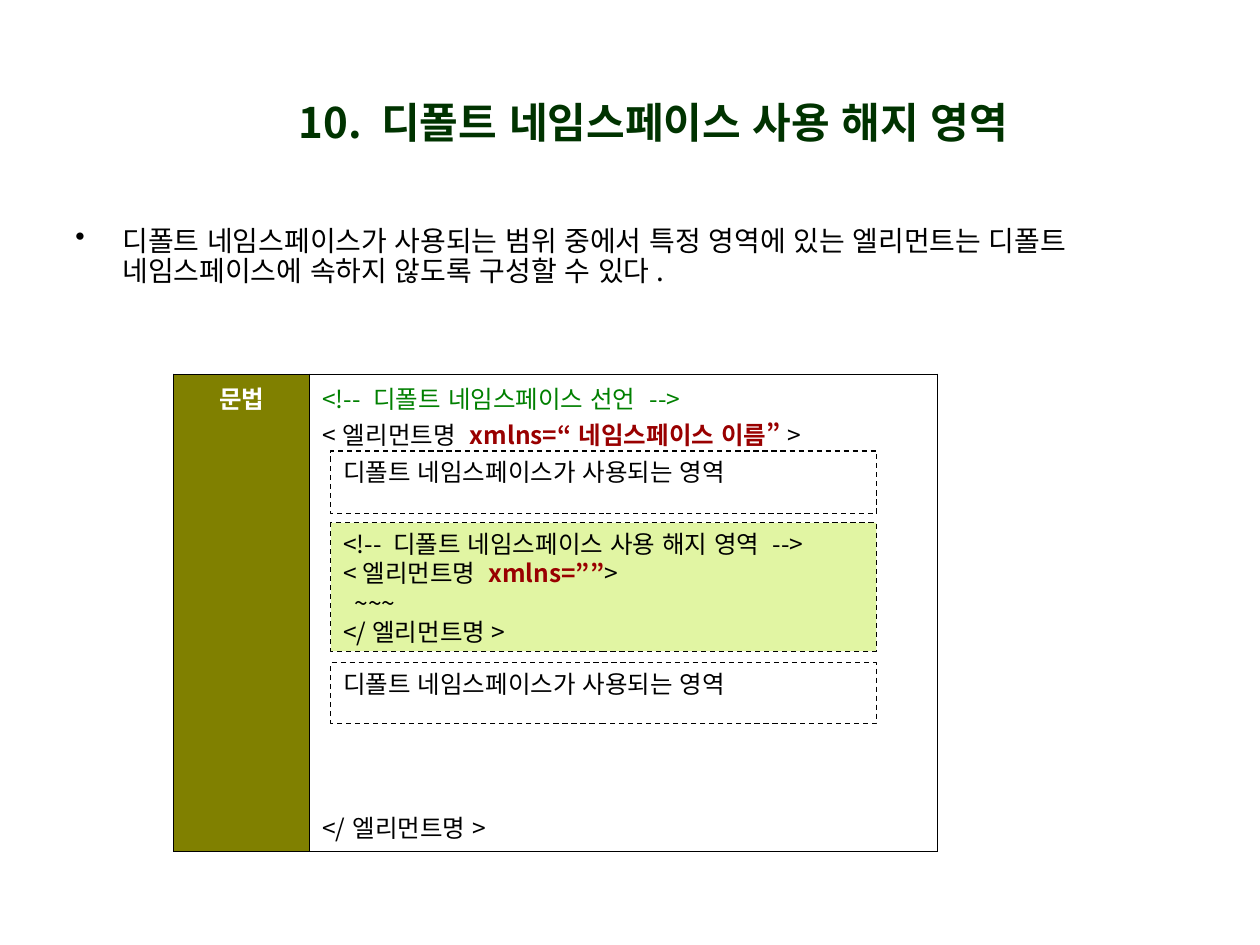
from pptx import Presentation
from pptx.dml.color import RGBColor as Rgb
from pptx.enum.dml import MSO_LINE as Dash
from pptx.enum.lang import MSO_LANGUAGE_ID as Lang
from pptx.enum.shapes import MSO_SHAPE as Shape
from pptx.enum.text import MSO_ANCHOR as Anchor, PP_ALIGN as Align
from pptx.oxml.ns import qn
from pptx.util import Cm, Pt
from lxml.etree import SubElement

FONT = "Noto Sans CJK KR"
HUES = {
    "ink": "000000", "paper": "FFFFFF", "title": "003300", "olive": "808000",
    "note": "008000", "code": "990000", "lime": "E1F5A3",
}


def hue(name):
    """Return the named colour."""
    return Rgb.from_string(HUES[name])


def style(para, size, tone="ink", bold=False, align=Align.LEFT):
    """Set the font and alignment of a whole paragraph."""
    font = para.font
    font.name, font.size, font.bold = FONT, Pt(size), bold
    font.color.rgb = hue(tone)
    SubElement(para._p.pPr.find(qn("a:defRPr")), qn("a:ea"), typeface=FONT)
    para.alignment = align


def write(frame, lines, size=14, **look):
    """Fill a frame with lines; a tuple line has its middle part stressed."""
    paras = []
    for i, line in enumerate(lines):
        para = frame.paragraphs[0] if i == 0 else frame.add_paragraph()
        style(para, size, **look)
        parts = line if isinstance(line, tuple) else (line,)
        for j, part in enumerate(parts):
            run = para.add_run()
            run.text = part
            run.font.language_id = Lang.KOREAN
            if j == 1:
                run.font.bold = True
                run.font.color.rgb = hue("code")
        paras.append(para)
    return paras


def place(shape, x, y, w, h):
    """Move and size a shape in centimetres."""
    shape.left, shape.top, shape.width, shape.height = map(Cm, (x, y, w, h))


def head(slide, box):
    """Format the title placeholder."""
    title = slide.shapes.title
    place(title, *box)
    title.text_frame.vertical_anchor = Anchor.MIDDLE
    write(title.text_frame, ["10. 디폴트 네임스페이스 사용 해지 영역"], 24,
          tone="title", bold=True, align=Align.CENTER)


def intro(slide, box):
    """Add the bulleted sentence."""
    frame = slide.shapes.add_textbox(*map(Cm, box)).text_frame
    frame.word_wrap = True
    para, = write(frame, [
        "디폴트 네임스페이스가 사용되는 범위 중에서 특정 영역에 있는 엘리먼트는 "
        "디폴트 네임스페이스에 속하지 않도록 구성할 수 있다."], 16)
    para.line_spacing, para.space_before = 0.9, Pt(4)
    props = para._p.pPr
    props.set("marL", str(Cm(0.95)))
    props.set("indent", str(-Cm(0.95)))
    bullet = props.makeelement(qn("a:buChar"), {"char": "•"})
    props.find(qn("a:defRPr")).addprevious(bullet)


def edge(cell):
    """Draw thin black borders around a cell."""
    props = cell._tc.get_or_add_tcPr()
    for i, side in enumerate(("lnL", "lnR", "lnT", "lnB")):
        line = props.makeelement(qn("a:" + side), {"w": str(Pt(0.45))})
        fill = SubElement(line, qn("a:solidFill"))
        SubElement(fill, qn("a:srgbClr"), val=HUES["ink"])
        props.insert(i, line)


def zone(slide, box, lines, tone="paper"):
    """Add one dashed box of code lines."""
    shape = slide.shapes.add_shape(Shape.RECTANGLE, *map(Cm, box))
    shape.shadow.inherit = False
    shape.fill.solid()
    shape.fill.fore_color.rgb = hue(tone)
    shape.line.color.rgb = hue("ink")
    shape.line.width = Pt(0.75)
    shape.line.dash_style = Dash.DASH
    shape.text_frame.word_wrap = True
    shape.text_frame.vertical_anchor = Anchor.TOP
    return write(shape.text_frame, lines)


def syntax(slide, box):
    """Add the syntax table and the dashed zones inside it."""
    x, y, w, h = box
    table = slide.shapes.add_table(1, 2, *map(Cm, box)).table
    table.first_row = table.horz_banding = False
    side = 2.74
    table.columns[0].width, table.columns[1].width = Cm(side), Cm(w - side)
    for cell, tone in zip(table.rows[0].cells, ("olive", "paper")):
        cell.fill.solid()
        cell.fill.fore_color.rgb = hue(tone)
        edge(cell)
    label, body = table.rows[0].cells
    write(label.text_frame, ["문법"], tone="paper", bold=True,
          align=Align.CENTER)
    note, start, end = write(body.text_frame, [
        "<!-- 디폴트 네임스페이스 선언 -->",
        ("<엘리먼트명 ", "xmlns=“네임스페이스 이름”", ">"),
        "</엘리먼트명>"])
    note.font.color.rgb = hue("note")
    start.space_before, end.space_before = Pt(0), Pt(204)

    used = ["디폴트 네임스페이스가 사용되는 영역"]
    left, wide = x + 3.17, 11
    zone(slide, (left, y + 1.55, wide, 1.27), used)
    zone(slide, (left, y + 5.82, wide, 1.22), used)
    lines = zone(slide, (left, y + 3, wide, 2.59), [
        "<!-- 디폴트 네임스페이스 사용 해지 영역 -->",
        ("<엘리먼트명 ", "xmlns=””", ">"),
        "~~~",
        "</엘리먼트명>"], "lime")
    lines[2]._p.pPr.set("marL", str(Cm(0.23)))


def main():
    """Build and save the slide."""
    deck = Presentation()
    deck.slide_width, deck.slide_height = Cm(25.4), Cm(19.05)
    slide = deck.slides.add_slide(deck.slide_layouts[5])
    head(slide, (4.09, 1.57, 18.16, 1.75))
    intro(slide, (1.27, 4.45, 22.83, 1.47))
    syntax(slide, (3.5, 7.54, 15.4, 9.62))
    deck.save("out.pptx")


if __name__ == "__main__":
    main()
